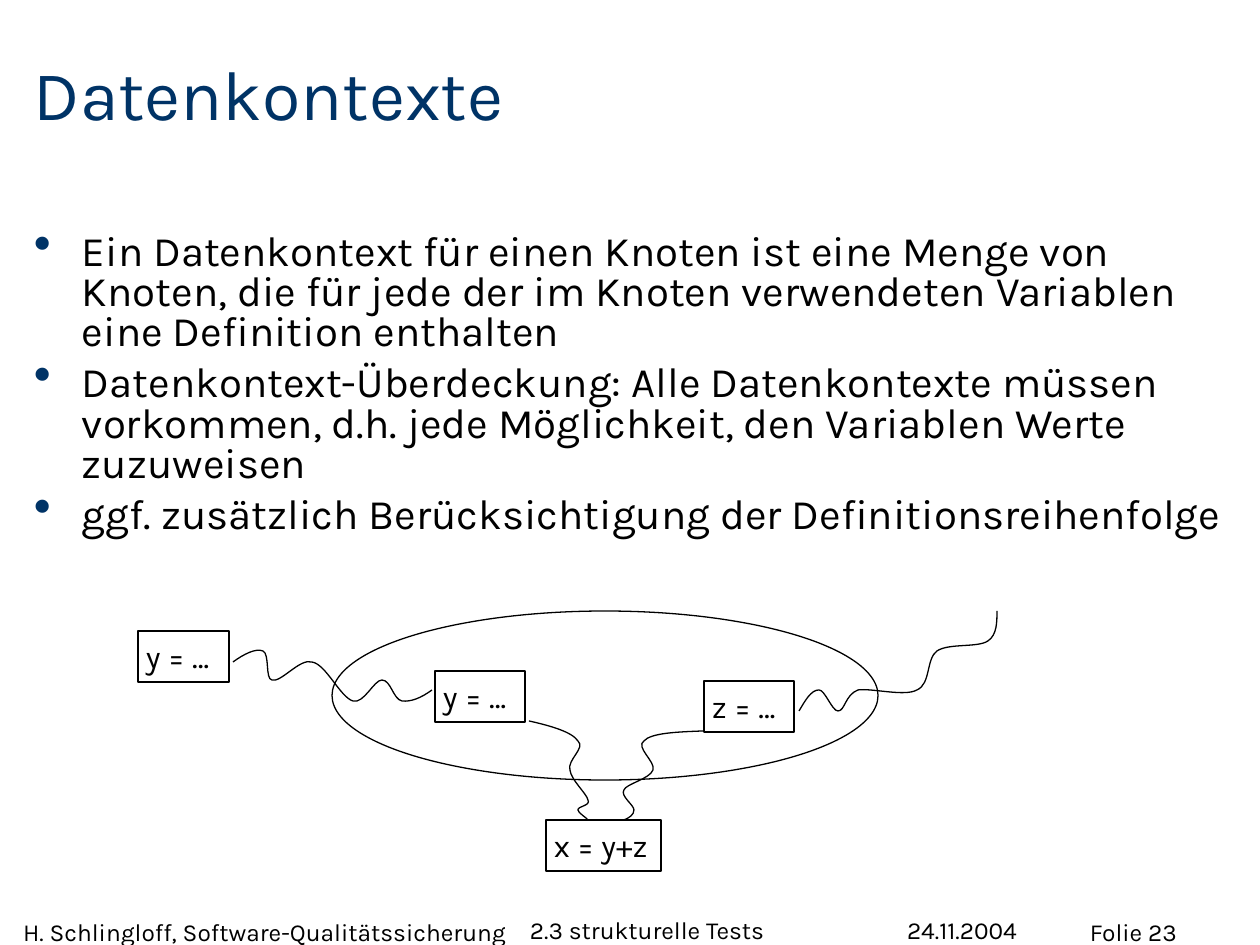
from lxml.etree import SubElement
from pptx import Presentation
from pptx.dml.color import RGBColor
from pptx.enum.shapes import MSO_SHAPE as Shape
from pptx.enum.text import MSO_ANCHOR as Anchor, PP_ALIGN as Align
from pptx.oxml.ns import qn
from pptx.util import Pt

SCALE = 914400 / 126
FONT = "Karla"
COLORS = {"text": "000000", "title": "003366", "line": "000000"}

BULLETS = [
    "Ein Datenkontext für einen Knoten ist eine Menge von Knoten, die für jede der "
    "im Knoten verwendeten Variablen eine Definition enthalten",
    "Datenkontext-Überdeckung: Alle Datenkontexte müssen vorkommen, d.h. jede "
    "Möglichkeit, den Variablen Werte zuzuweisen",
    "ggf. zusätzlich Berücksichtigung der Definitionsreihenfolge",
]

# Diagram parts, relative to the diagram's top left corner.
NODES = [
    ("x = y+z", (408, 209, 115, 51)),
    ("y = …", (297, 60, 90, 51)),
    ("z = …", (566, 70, 90, 51)),
    ("y = …", (0, 20, 91, 51)),
]
CONTEXT = (194, 0, 546, 169)
# Each path is a start point followed by Bézier triples.
PATHS = [
    [(391, 110), (413, 115), (434, 121), (440, 130), (448, 137), (429, 149), (432, 159),
     (433, 169), (449, 183), (450, 189), (453, 195), (440, 195), (440, 199),
     (440, 202), (449, 207), (450, 209)],
    [(565, 120), (539, 121), (513, 122), (506, 130), (497, 136), (518, 151), (515, 159),
     (512, 168), (488, 173), (486, 179), (482, 185), (496, 194), (496, 199),
     (496, 204), (491, 207), (486, 209)],
    [(95, 51), (106, 43), (118, 37), (125, 40), (132, 43), (127, 68), (134, 69),
     (143, 72), (162, 47), (174, 51), (188, 53), (202, 86), (215, 90),
     (226, 93), (236, 69), (244, 69), (253, 69), (255, 88), (264, 90),
     (273, 91), (283, 87), (294, 79)],
    [(661, 100), (667, 90), (673, 79), (681, 79), (687, 79), (694, 100), (700, 100),
     (707, 100), (707, 84), (720, 79), (734, 77), (767, 86), (779, 79),
     (793, 73), (788, 48), (799, 40), (811, 32), (840, 37), (850, 30),
     (859, 24), (859, 11), (859, 0)],
]


def px(value):
    return round(value * SCALE)


def color(name):
    return RGBColor.from_string(COLORS[name])


def style_outline(shape):
    shape.shadow.inherit = False
    shape.fill.background()
    shape.line.color.rgb = color("line")
    shape.line.width = Pt(0.75)


def style_font(paragraph, size, color_name="text"):
    font = paragraph.font
    font.name, font.size = FONT, Pt(size)
    font.color.rgb = color(color_name)


def prepare_frame(shape, anchor=Anchor.TOP, inset_x=0, inset_y=0):
    frame = shape.text_frame
    frame.word_wrap = True
    frame.vertical_anchor = anchor
    frame.margin_left = frame.margin_right = px(inset_x)
    frame.margin_top = frame.margin_bottom = px(inset_y)
    return frame


def add_text(slide, box, text, size, color_name="text", anchor=Anchor.TOP):
    frame = prepare_frame(slide.shapes.add_textbox(*map(px, box)), anchor)
    frame.text = text
    style_font(frame.paragraphs[0], size, color_name)


def add_bullet(paragraph, indent):
    properties = paragraph._p.get_or_add_pPr()
    properties.set("marL", str(px(indent)))
    properties.set("indent", str(-px(indent)))
    bullet_color = SubElement(properties, qn("a:buClr"))
    SubElement(bullet_color, qn("a:srgbClr"), val=COLORS["title"])
    SubElement(properties, qn("a:buSzPct"), val="120000")
    SubElement(properties, qn("a:buChar"), char="•")


def add_bullet_list(slide, box, items):
    frame = prepare_frame(slide.shapes.add_textbox(*map(px, box)))
    for index, item in enumerate(items):
        paragraph = frame.add_paragraph() if index else frame.paragraphs[0]
        paragraph.text = item
        add_bullet(paragraph, 48)
        paragraph.line_spacing = 0.8
        paragraph.space_before = Pt(6 if index else 0)
        style_font(paragraph, 24)


def add_node(slide, box, label):
    node = slide.shapes.add_shape(Shape.RECTANGLE, *map(px, box))
    style_outline(node)
    frame = prepare_frame(node, inset_x=8, inset_y=6)
    frame.text = label
    frame.paragraphs[0].alignment = Align.LEFT
    style_font(frame.paragraphs[0], 18)


def add_curve(slide, points):
    """Draw an open outline, then turn each three line steps into one Bézier step."""
    builder = slide.shapes.build_freeform(*points[0], scale=SCALE)
    builder.add_line_segments(points[1:], close=False)
    curve = builder.convert_to_shape()
    style_outline(curve)
    path = next(curve._element.iter(qn("a:path")))
    steps = path.findall(qn("a:lnTo"))
    for first in range(0, len(steps), 3):
        bezier = SubElement(path, qn("a:cubicBezTo"))
        for step in steps[first:first + 3]:
            bezier.append(step[0])
            path.remove(step)


def add_diagram(slide, left, top):
    def place(box):
        return (left + box[0], top + box[1], *box[2:])

    for label, box in NODES:
        add_node(slide, place(box), label)
    style_outline(slide.shapes.add_shape(Shape.OVAL, *map(px, place(CONTEXT))))
    for points in PATHS:
        add_curve(slide, [place(point) for point in points])


def add_footer(slide):
    add_text(slide, (23, 917, 495, 29), "H. Schlingloff, Software-Qualitätssicherung", 14)
    add_text(slide, (530, 908, 367, 36), "2.3 strukturelle Tests", 14, anchor=Anchor.BOTTOM)
    add_text(slide, (907, 918, 198, 26), "24.11.2004", 14, anchor=Anchor.BOTTOM)
    add_text(slide, (1090, 917, 170, 29), "Folie 23", 14)


def main():
    presentation = Presentation()
    presentation.slide_width, presentation.slide_height = px(1260), px(945)
    slide = presentation.slides.add_slide(presentation.slide_layouts[6])
    add_text(slide, (34, 45, 1198, 90), "Datenkontexte", 40, "title", Anchor.BOTTOM)
    add_bullet_list(slide, (34, 234, 1200, 348), BULLETS)
    add_diagram(slide, 138, 611)
    add_footer(slide)
    presentation.save("out.pptx")


if __name__ == "__main__":
    main()
